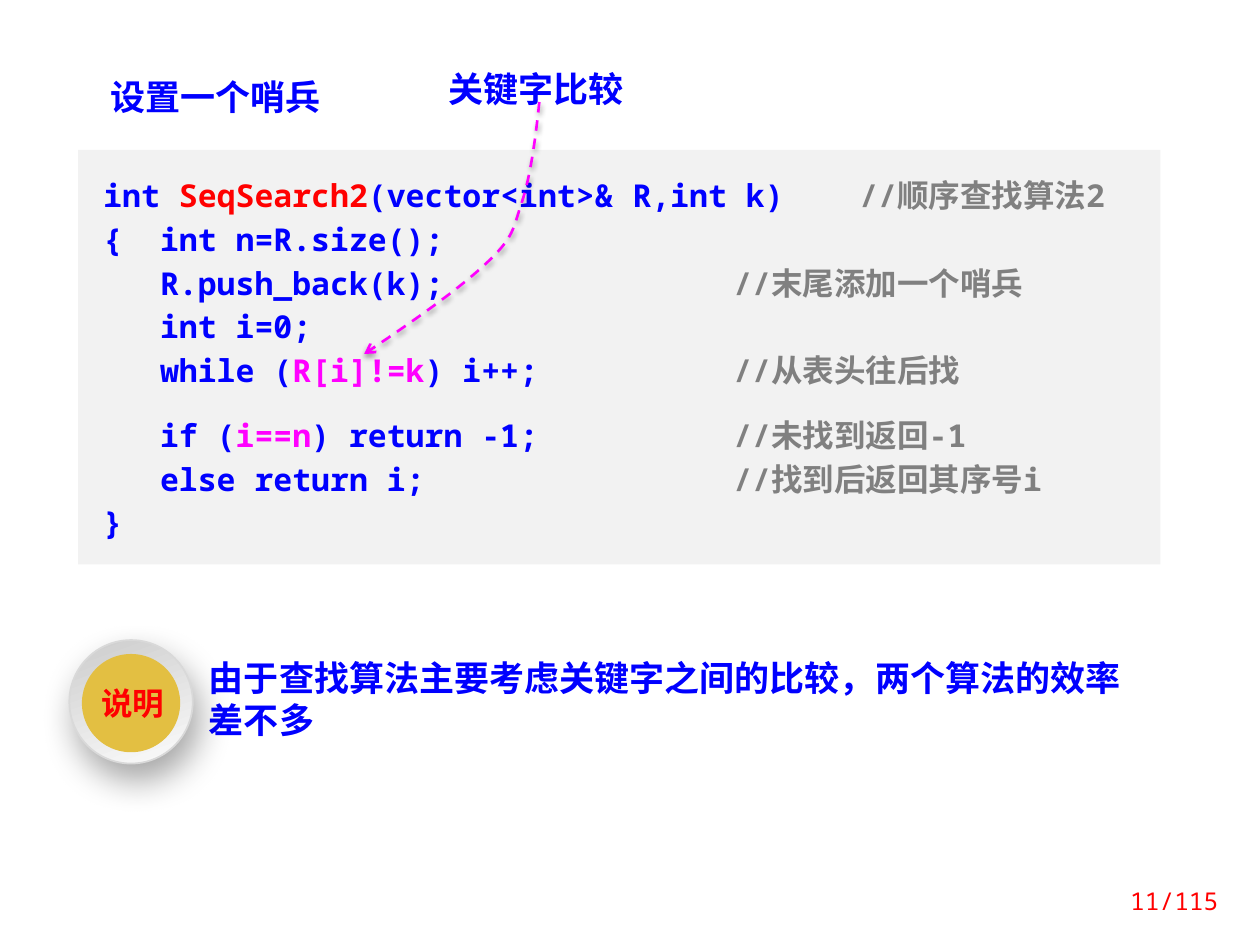
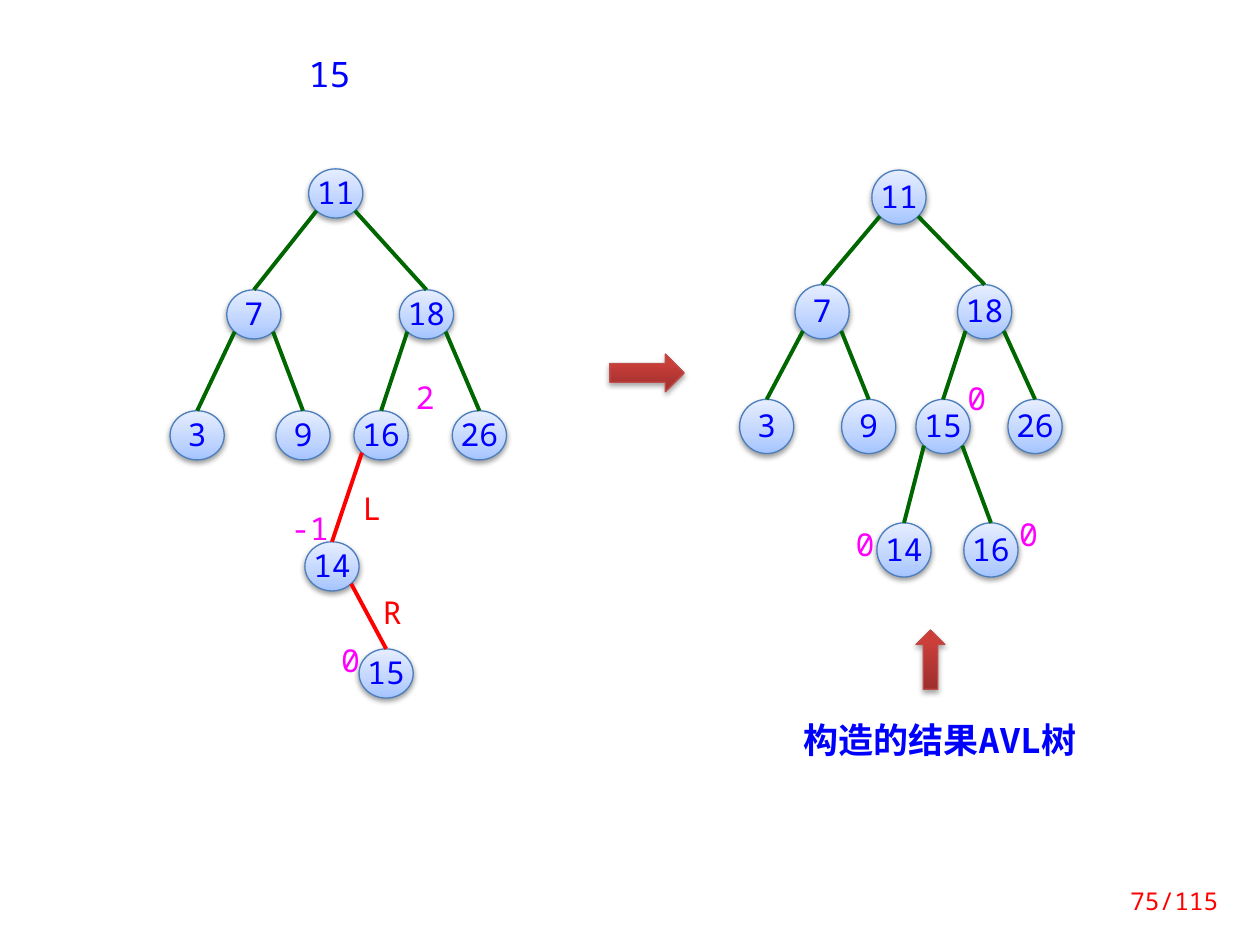
from dataclasses import dataclass
from typing import Optional

from lxml.etree import SubElement
from pptx import Presentation
from pptx.dml.color import RGBColor
from pptx.enum.dml import MSO_LINE
from pptx.enum.shapes import MSO_CONNECTOR, MSO_SHAPE
from pptx.enum.text import MSO_ANCHOR, PP_ALIGN
from pptx.oxml.ns import qn
from pptx.util import Inches, Pt

COLORS = {
    "blue": "0000FF", "red": "FF0000", "magenta": "FF00FF", "gray": "808080",
    "green": "006600", "panel": "F2F2F2", "gold": "E3BF42", "rim": "D9D9D9",
    "node_line": "4B7EBC", "arrow_line": "BF4C48", "black": "000000",
    "rim_dark": "CCCCCC", "rim_light": "FCFCFC",
    "node_low": "A4C4FF", "node_mid": "BFD4FF", "node_high": "E6EEFF",
    "arrow_low": "9C2F2D", "arrow_mid": "CB3E3A", "arrow_high": "CE3B37",
}
MONO, CJK = "Noto Sans Mono", "Noto Sans CJK SC"
LEFT, CENTER, RIGHT = PP_ALIGN.LEFT, PP_ALIGN.CENTER, PP_ALIGN.RIGHT
DIAGONAL = 0.354


@dataclass(frozen=True)
class Gradient:
    stops: tuple
    angle: float


@dataclass(frozen=True)
class Shadow:
    alpha: int
    blur: float
    dist: float
    angle: int = 90


@dataclass(frozen=True)
class Node:
    key: str
    x: float
    y: float
    parent: Optional[str] = None
    edge: str = "green"


@dataclass(frozen=True)
class Label:
    text: str
    x: float
    y: float
    w: float = 0.27
    color: str = "magenta"


NODE_FILL = Gradient(((0, "node_low"), (35, "node_mid"), (100, "node_high")), 90)
ARROW_FILL = Gradient(((0, "arrow_low"), (80, "arrow_mid"), (100, "arrow_high")), 90)
RIM_FILL = Gradient(((0, "rim_dark"), (100, "rim_light")), 290)
SOFT = Shadow(38, 3.1, 1.6)
ARROW_SHADOW = Shadow(35, 3.1, 1.8)
RIM_SHADOW = Shadow(34, 20, 10, 70)

CODE = [
    [("int ", "blue"), ("SeqSearch2", "red"), ("(vector<int>& R,int k)\t", "blue"),
     ("//顺序查找算法2", "gray")],
    [("{  int n=R.size();", "blue")],
    [("   R.push_back(k);\t", "blue"), ("//末尾添加一个哨兵", "gray")],
    [("   int i=0;", "blue")],
    [("   while (", "blue"), ("R[i]!=k", "magenta"), (") i++;\t", "blue"),
     ("//从表头往后找", "gray")],
    [("   if (", "blue"), ("i==n", "magenta"), (") return -1;\t", "blue"),
     ("//未找到返回-1", "gray")],
    [("   else return i;\t", "blue"), ("//找到后返回其序号i", "gray")],
    [("}", "blue")],
]
COMPARE_CURVE = [
    (4.28, 0.81), (4.25, 1.1), (4.21, 1.4), (4.14, 1.61), (4.07, 1.82),
    (4.08, 1.88), (3.87, 2.08), (3.66, 2.28), (3.28, 2.55), (2.89, 2.81),
]
UNBALANCED = [
    Node("11", 2.45, 1.34), Node("7", 1.8, 2.3, "11"), Node("18", 3.17, 2.3, "11"),
    Node("3", 1.35, 3.26, "7"), Node("9", 2.19, 3.26, "7"),
    Node("16", 2.81, 3.26, "18"), Node("26", 3.59, 3.26, "18"),
    Node("14", 2.42, 4.3, "16", "red"), Node("15", 2.85, 5.15, "14", "red"),
]
BALANCED = [
    Node("11", 6.92, 1.35), Node("7", 6.31, 2.26, "11"), Node("18", 7.6, 2.26, "11"),
    Node("3", 5.87, 3.17, "7"), Node("9", 6.68, 3.17, "7"),
    Node("15", 7.27, 3.17, "18"), Node("26", 8, 3.17, "18"),
    Node("14", 6.96, 4.15, "15"), Node("16", 7.65, 4.15, "15"),
]
TREE_LABELS = [
    Label("-1", 2.19, 4.01, 0.54), Label("2", 3.2, 2.97), Label("0", 2.61, 5.06),
    Label("L", 2.78, 3.85, color="red"), Label("R", 2.94, 4.68, color="red"),
    Label("0", 6.68, 4.14, 0.37), Label("0", 7.58, 2.98, 0.29),
    Label("0", 7.99, 4.06, 0.29),
]


def rgb(name: str) -> RGBColor:
    return RGBColor.from_string(COLORS[name])


def add_color(parent, name: str):
    return SubElement(parent, qn("a:srgbClr"), val=COLORS[name])


def write(sp, text, *, size=18, color="blue", bold=False, font=MONO, align=LEFT,
          anchor=MSO_ANCHOR.TOP, wrap=True, spacing=None, tabs=(), gaps=None,
          margins=(0.1, 0.05, 0.1, 0.05)) -> None:
    tf = sp.text_frame
    tf.word_wrap = wrap
    tf.vertical_anchor = anchor
    tf.margin_left, tf.margin_top, tf.margin_right, tf.margin_bottom = map(Inches, margins)
    lines = [[(text, color)]] if isinstance(text, str) else text
    for i, line in enumerate(lines):
        p = tf.add_paragraph() if i else tf.paragraphs[0]
        p.alignment = align
        if spacing:
            p.line_spacing = spacing
        if gaps and i in gaps:
            p.space_before = gaps[i]
        if tabs:
            stops = SubElement(p._p.get_or_add_pPr(), qn("a:tabLst"))
            for tab in tabs:
                SubElement(stops, qn("a:tab"), pos=str(Inches(tab)), algn="l")
        for words, run_color in line:
            r = p.add_run()
            r.text = words
            r.font.size, r.font.bold, r.font.name = Pt(size), bold, font
            r.font.color.rgb = rgb(run_color)
            SubElement(r._r.get_or_add_rPr(), qn("a:ea"), typeface=CJK)


def add_text(s, text, x: float, y: float, w: float, h: float, **fmt):
    sp = s.shapes.add_textbox(*map(Inches, (x, y, w, h)))
    write(sp, text, **fmt)
    return sp


def set_shadow(sp, shadow: Optional[Shadow]) -> None:
    sp.shadow.inherit = False
    if shadow:
        effects = sp._element.spPr.find(qn("a:effectLst"))
        outer = SubElement(effects, qn("a:outerShdw"), blurRad=str(Pt(shadow.blur)),
                           dist=str(Pt(shadow.dist)), dir=str(shadow.angle * 60000),
                           rotWithShape="0")
        SubElement(add_color(outer, "black"), qn("a:alpha"), val=str(shadow.alpha * 1000))


def add_shape(s, kind, x: float, y: float, w: float, h: float, fill,
              line: Optional[str] = None, width: float = 0.75,
              shadow: Optional[Shadow] = None):
    sp = s.shapes.add_shape(kind, *map(Inches, (x, y, w, h)))
    if isinstance(fill, Gradient):
        sp.fill.gradient()
        sp.fill.gradient_angle = fill.angle
        stops = sp._element.spPr.find(qn("a:gradFill")).find(qn("a:gsLst"))
        for old in list(stops):
            stops.remove(old)
        for pos, name in fill.stops:
            add_color(SubElement(stops, qn("a:gs"), pos=str(pos * 1000)), name)
    else:
        sp.fill.solid()
        sp.fill.fore_color.rgb = rgb(fill)
    if line:
        sp.line.color.rgb = rgb(line)
        sp.line.width = Pt(width)
    else:
        sp.line.fill.background()
    set_shadow(sp, shadow)
    return sp


def add_curved_arrow(s, points: list) -> None:
    scaled = [(Inches(x), Inches(y)) for x, y in points]
    builder = s.shapes.build_freeform(*scaled[0])
    builder.add_line_segments(scaled[1:], close=False)
    sp = builder.convert_to_shape()
    segments = sp._element.xpath(".//a:lnTo")
    for i in range(0, len(segments), 3):
        curve = SubElement(segments[i].getparent(), qn("a:cubicBezTo"))
        for segment in segments[i:i + 3]:
            curve.append(segment[0])
            segment.getparent().remove(segment)
    sp.fill.background()
    sp.line.color.rgb = rgb("magenta")
    sp.line.width = Pt(1.5)
    sp.line.dash_style = MSO_LINE.DASH
    SubElement(sp.line._get_or_add_ln(), qn("a:tailEnd"), type="arrow")
    set_shadow(sp, SOFT)


def add_edge(s, parent, child, color: str) -> None:
    side = -1 if child.left < parent.left else 1
    x = parent.left + int(parent.width * (0.5 + side * DIAGONAL))
    y = parent.top + int(parent.height * (0.5 + DIAGONAL))
    cn = s.shapes.add_connector(MSO_CONNECTOR.STRAIGHT, x, y,
                                child.left + child.width // 2, child.top)
    cn.end_connect(child, 0)
    cn.line.color.rgb = rgb(color)
    cn.line.width = Pt(2.25)
    SubElement(cn._element.spPr, qn("a:effectLst"))


def add_tree(s, nodes: list, height: float) -> None:
    drawn = {}
    for node in nodes:
        sp = add_shape(s, MSO_SHAPE.OVAL, node.x, node.y, 0.43, height, NODE_FILL,
                       "node_line", shadow=SOFT)
        write(sp, node.key, align=CENTER, anchor=MSO_ANCHOR.MIDDLE, wrap=False,
              spacing=Pt(20))
        drawn[node.key] = sp
    for node in nodes:
        if node.parent:
            add_edge(s, drawn[node.parent], drawn[node.key], node.edge)


def add_slide(prs, number: int):
    s = prs.slides.add_slide(prs.slide_layouts[6])
    add_text(s, f"{number}/115", 8.63, 6.95, 1.14, 0.4, size=14, color="red",
             align=RIGHT, anchor=MSO_ANCHOR.MIDDLE)
    return s


def build_sentinel_search(prs) -> None:
    s = add_slide(prs, 11)
    panel = add_shape(s, MSO_SHAPE.RECTANGLE, 0.62, 1.19, 8.59, 3.29, "panel")
    write(panel, CODE, bold=True, spacing=Pt(25), tabs=(5, 6), gaps={5: Pt(12)},
          margins=(0.2, 0.16, 0.1, 0.16))
    add_text(s, "设置一个哨兵", 0.78, 0.55, 3.13, 0.44, size=20, bold=True)
    add_text(s, "由于查找算法主要考虑关键字之间的比较，两个算法的效率差不多",
             1.56, 5.16, 7.58, 0.77, size=20, bold=True)
    add_shape(s, MSO_SHAPE.OVAL, 0.55, 5.08, 0.98, 0.98, RIM_FILL, "rim", 1, RIM_SHADOW)
    add_shape(s, MSO_SHAPE.OVAL, 0.65, 5.19, 0.78, 0.78, "gold")
    add_text(s, "说明", 0.7, 5.44, 0.71, 0.34, color="red", bold=True, font=CJK,
             align=CENTER, wrap=False, spacing=0.8)
    add_text(s, "关键字比较", 3.46, 0.49, 1.85, 0.48, size=20, bold=True, font=CJK)
    add_curved_arrow(s, COMPARE_CURVE)


def build_avl_rotation(prs) -> None:
    s = add_slide(prs, 75)
    add_text(s, "15", 2.34, 0.43, 0.55, 0.37, size=20, align=CENTER, spacing=0.8)
    add_tree(s, UNBALANCED, 0.39)
    add_tree(s, BALANCED, 0.43)
    for label in TREE_LABELS:
        add_text(s, label.text, label.x, label.y, label.w, 0.38, color=label.color,
                 align=CENTER, spacing=Pt(20))
    add_shape(s, MSO_SHAPE.RIGHT_ARROW, 4.84, 2.81, 0.59, 0.3, ARROW_FILL,
              "arrow_line", shadow=ARROW_SHADOW)
    add_text(s, "构造的结果AVL树", 6.25, 5.71, 2.42, 0.38, size=20, bold=True,
             align=CENTER, spacing=Pt(20))
    add_shape(s, MSO_SHAPE.UP_ARROW, 7.27, 5, 0.23, 0.47, ARROW_FILL,
              "arrow_line", shadow=ARROW_SHADOW)


def main() -> None:
    prs = Presentation()
    prs.slide_width, prs.slide_height = Inches(10), Inches(7.5)
    build_sentinel_search(prs)
    build_avl_rotation(prs)
    prs.save("out.pptx")


if __name__ == "__main__":
    main()
